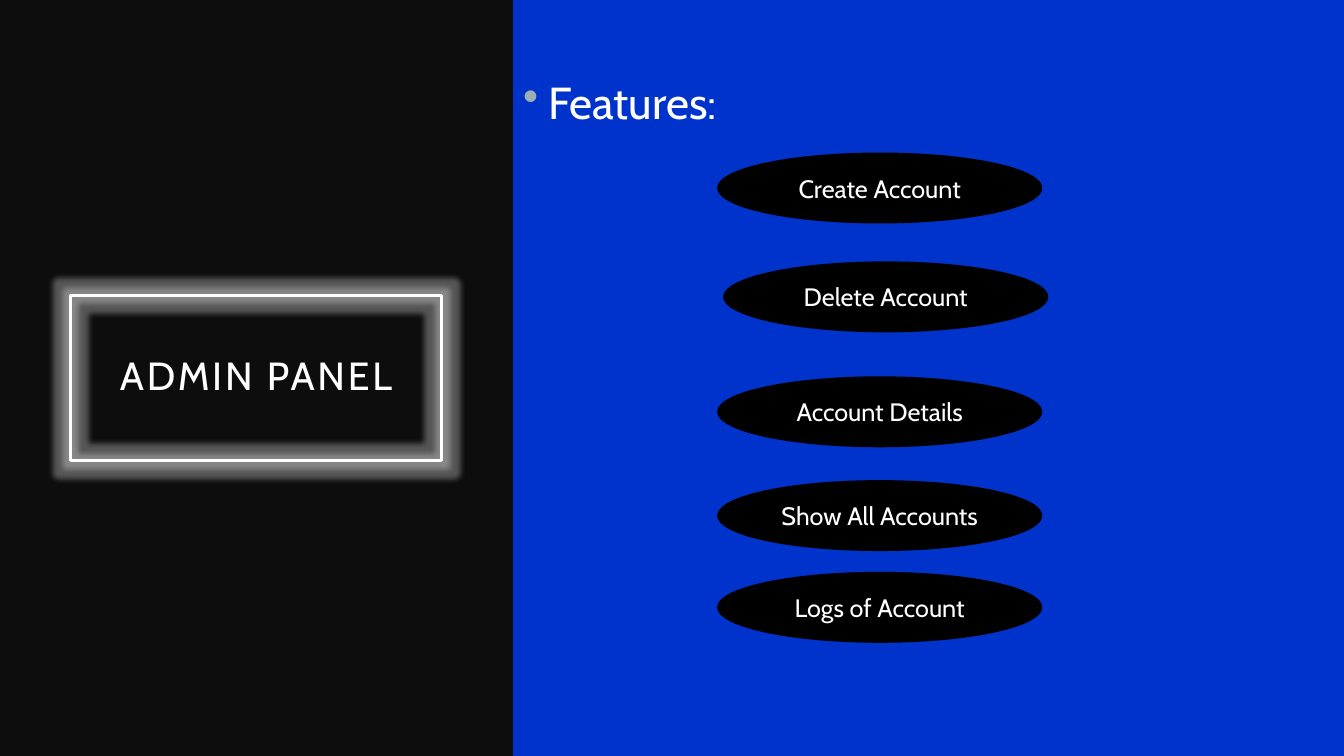
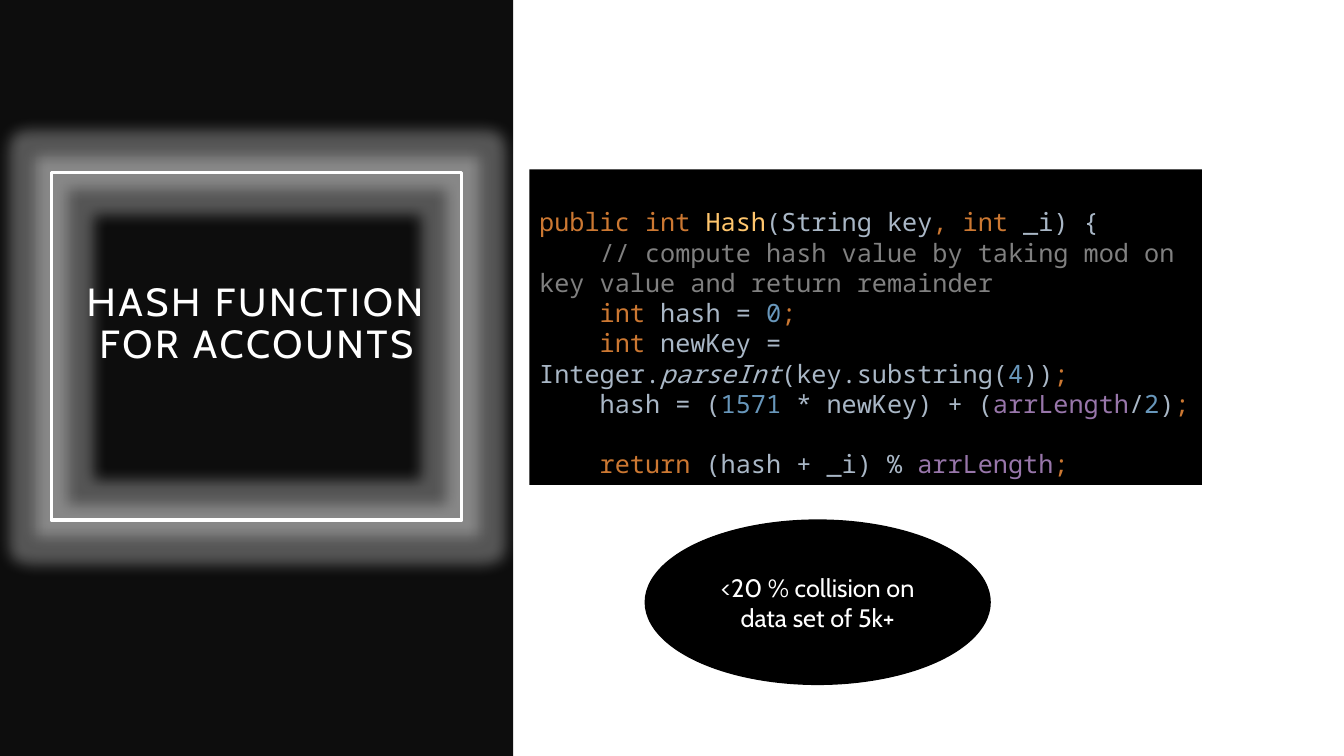
from lxml.etree import SubElement
from pptx import Presentation
from pptx.dml.color import RGBColor
from pptx.enum.shapes import MSO_SHAPE
from pptx.enum.text import MSO_ANCHOR, PP_ALIGN
from pptx.oxml.ns import qn
from pptx.util import Inches, Pt


class Theme:
    sans = "Cabin"
    mono = "Noto Sans Mono"
    head = 28
    lead = 32
    text = 18
    step = 21.6
    white = "FFFFFF"
    black = "000000"
    panel = "0D0D0D"
    blue = "0033CC"
    dot = "9BAFB5"
    plain = "A9B7C6"
    word = "CC7832"
    name = "FFC66D"
    note = "808080"
    digit = "6897BB"
    field = "9876AA"


def form(slide, kind, box, fill=None, line=None, width=1, anchor=MSO_ANCHOR.MIDDLE):
    shape = slide.shapes.add_shape(kind, *[Inches(n) for n in box])
    shape.shadow.inherit = False
    if fill:
        shape.fill.solid()
        shape.fill.fore_color.rgb = RGBColor.from_string(fill)
    else:
        shape.fill.background()
    if line:
        shape.line.color.rgb = RGBColor.from_string(line)
        shape.line.width = Pt(width)
    else:
        shape.line.fill.background()
    shape.text_frame.word_wrap = True
    shape.text_frame.vertical_anchor = anchor
    return shape


def write(para, text, size, color=Theme.white, face=Theme.sans, align=PP_ALIGN.CENTER):
    para.alignment = align
    run = para.add_run()
    run.text = text
    run.font.size = Pt(size)
    run.font.name = face
    run.font.color.rgb = RGBColor.from_string(color)
    return run


deck = Presentation()
deck.slide_width, deck.slide_height = Inches(13.33), Inches(7.5)

heads = [
    ("ADMIN PANEL", (0.7, 2.93, 3.68, 1.64), 0.2, 8),
    ("HASH FUNCTION FOR ACCOUNTS", (0.51, 1.71, 4.07, 3.45), 0.63, 20),
]
slides = []
for text, box, base, glow in heads:
    slide = deck.slides.add_slide(deck.slide_layouts[6])
    slides.append(slide)
    form(slide, MSO_SHAPE.RECTANGLE, (0, 0, 5.09, 7.5), Theme.panel)
    title = form(slide, MSO_SHAPE.RECTANGLE, box, line=Theme.white, width=2.5)
    halo = SubElement(title._element.spPr.find(qn("a:effectLst")), qn("a:glow"), rad=str(Pt(glow)))
    tint = SubElement(halo, qn("a:srgbClr"), val=Theme.white)
    SubElement(tint, qn("a:alpha"), val="30000")
    frame = title.text_frame
    frame.margin_left = frame.margin_right = frame.margin_top = Inches(0.2)
    frame.margin_bottom = Inches(base)
    para = frame.paragraphs[0]
    para.line_spacing = 0.9
    run = write(para, text, Theme.head)
    run.font._element.set("spc", "200")

admin, hashing = slides

body = form(admin, MSO_SHAPE.RECTANGLE, (5.09, 0, 8.24, 7.5), Theme.blue, anchor=MSO_ANCHOR.TOP)
body.text_frame.margin_top = Inches(0.74)
para = body.text_frame.paragraphs[0]
write(para, "Features:", Theme.lead, align=PP_ALIGN.LEFT)
props = para._p.get_or_add_pPr()
props.set("marL", str(Inches(0.25)))
props.set("indent", str(-Inches(0.25)))
tint = SubElement(props, qn("a:buClr"))
SubElement(tint, qn("a:srgbClr"), val=Theme.dot)
SubElement(props, qn("a:buChar"), char="•")

ovals = [
    (admin, "Create Account", (7.12, 1.52, 3.21, 0.69)),
    (admin, "Delete Account", (7.18, 2.6, 3.21, 0.69)),
    (admin, "Account Details", (7.12, 3.74, 3.21, 0.69)),
    (admin, "Show All Accounts", (7.12, 4.77, 3.21, 0.69)),
    (admin, "Logs of Account", (7.12, 5.68, 3.21, 0.69)),
    (hashing, "<20 % collision on data set of 5k+", (6.4, 5.16, 3.42, 1.63)),
]
for slide, text, box in ovals:
    oval = form(slide, MSO_SHAPE.OVAL, box, Theme.black, Theme.black)
    write(oval.text_frame.paragraphs[0], text, Theme.text)

plain, word, digit, field = Theme.plain, Theme.word, Theme.digit, Theme.field
code = [
    (0, 0, [("public int ", word), ("Hash", Theme.name), ("(String key", plain),
            (", int ", word), ("_i) {", plain)]),
    (1, 0, [("// compute hash value by taking mod on key value and return remainder", Theme.note)]),
    (1, 0, [("int ", word), ("hash = ", plain), ("0", digit), (";", word)]),
    (1, 0, [("int ", word), ("newKey = Integer.", plain), ("parseInt", plain),
            ("(key.substring(", plain), ("4", digit), ("))", plain), (";", word)]),
    (1, 0, [("hash = (", plain), ("1571 ", digit), ("* newKey) + (", plain),
            ("arrLength", field), ("/", plain), ("2", digit), (")", plain), (";", word)]),
    (1, 1, [("return ", word), ("(hash + _i) % ", plain), ("arrLength", field), (";", word)]),
]
block = form(hashing, MSO_SHAPE.RECTANGLE, (5.25, 1.68, 6.67, 3.13), Theme.black,
             anchor=MSO_ANCHOR.TOP)
frame = block.text_frame
frame.margin_top = Inches(0.37)
for row, (level, gap, parts) in enumerate(code):
    para = frame.add_paragraph() if row else frame.paragraphs[0]
    para.line_spacing = Pt(Theme.step)
    para.space_before = Pt(gap * Theme.step)
    para._p.get_or_add_pPr().set("indent", str(Inches(0.6 * level)))
    for text, color in parts:
        run = write(para, text, Theme.text, color, Theme.mono, PP_ALIGN.LEFT)
        run.font.italic = text == "parseInt"

deck.save("out.pptx")
